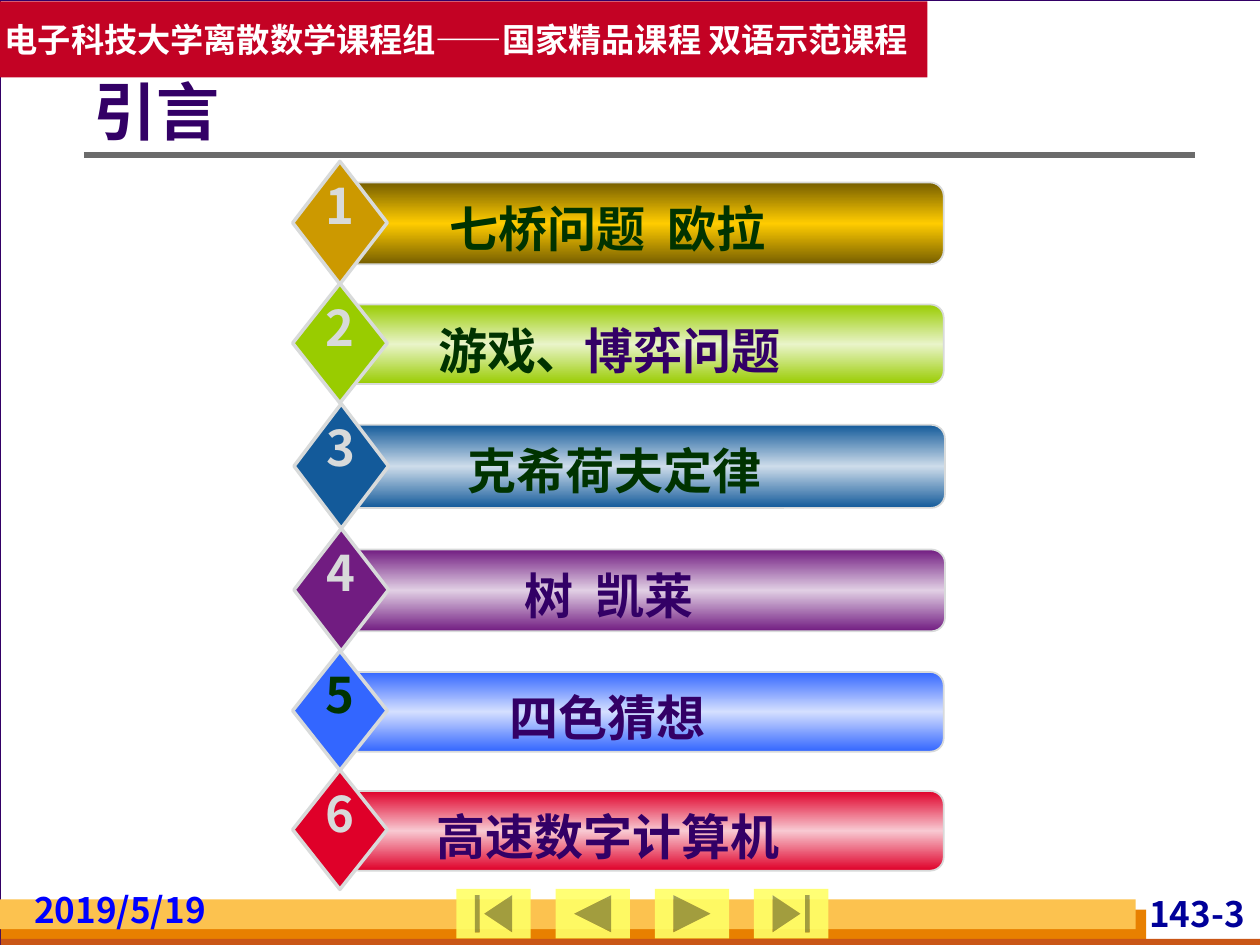
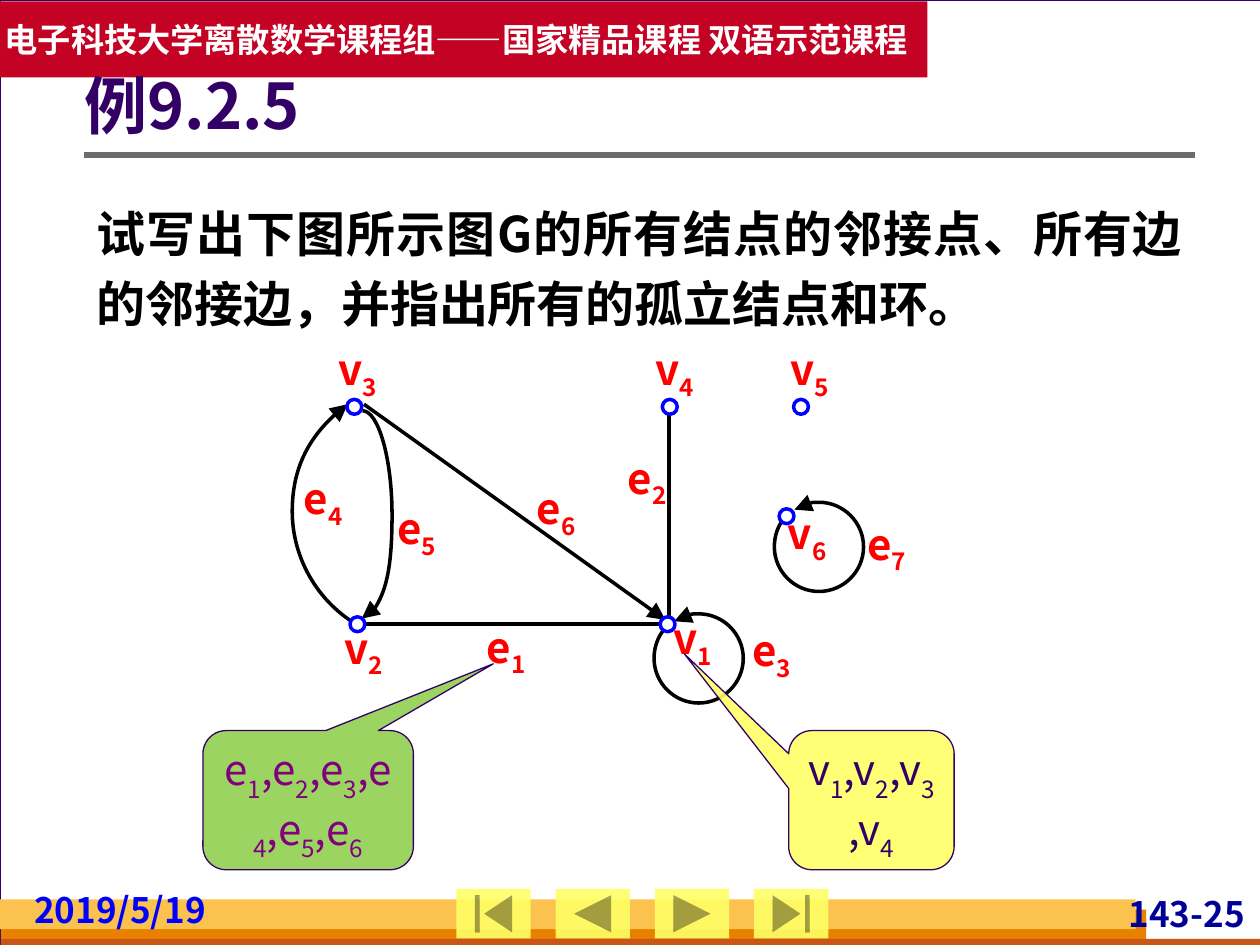
from dataclasses import dataclass
from itertools import groupby
from typing import NamedTuple

from lxml.etree import SubElement
from pptx import Presentation
from pptx.dml.color import RGBColor
from pptx.enum.shapes import MSO_CONNECTOR, MSO_SHAPE
from pptx.enum.text import MSO_ANCHOR, MSO_AUTO_SIZE, PP_ALIGN
from pptx.oxml.ns import qn
from pptx.util import Pt

COLORS = {
    "backdrop": "D8DADA", "white": "FFFFFF", "purple": "330066", "black": "000000",
    "orange": "E88000", "rust": "C95616", "amber": "FCC24F", "rule": "6B6B6B",
    "button": "FFFF66", "band": "C30224", "number": "000099", "blue": "0000FF",
    "green": "003300", "red": "FF0000", "lime": "92D050", "violet": "800080",
}
FONT = "Noto Sans CJK SC"
CENTER = PP_ALIGN.CENTER


class Piece(NamedTuple):
    text: str
    color: str
    size: float = 28
    bold: bool = True
    font: str = FONT
    baseline: int = 0
    spacing: float = 0


class Frame(NamedTuple):
    left: float
    top: float
    width: float
    height: float

    def points(self) -> list:
        return [Pt(length) for length in self]


@dataclass
class Topic:
    top: float
    height: float
    edge: str
    middle: str
    diamond: str
    pieces: list[Piece]
    shift: float = 0
    digit_color: str = "backdrop"
    label_width: float = 264


class Label(NamedTuple):
    text: str
    left: float
    top: float


class Line(NamedTuple):
    x1: float
    y1: float
    x2: float
    y2: float
    arrow: bool = False


class Curve(NamedTuple):
    left: float
    top: float
    points: list[tuple[float, float]]


class Callout(NamedTuple):
    frame: Frame
    tip: tuple[float, float]
    fill: str
    text: str
    color: str


def spaced(first: str, second: str, color: str) -> list[Piece]:
    """Two words with a widened gap between them."""
    return [Piece(first, color), Piece(" ", color, spacing=6.3), Piece(second, color)]


TOPICS = [
    Topic(104.25, 46.75, "765E00", "FFCC00", "CC9900", spaced("七桥问题", "欧拉", "green")),
    Topic(174, 45.5, "99CC00", "E9F4C9", "99CC00",
          [Piece("游戏、", "green"), Piece("博弈问题", "purple", font="Arial")], label_width=266),
    Topic(242.75, 47.5, "135A9A", "CDDCEA", "135A9A", [Piece("克希荷夫定律", "green")], 0.75,
          label_width=270),
    Topic(314, 46.75, "711C81", "E1CFE4", "711C81", spaced("树", "凯莱", "purple"), 0.75),
    Topic(384, 45.5, "3366FF", "D4DFFF", "3366FF", [Piece("四色猜想", "purple")],
          digit_color="green"),
    Topic(452, 45.5, "DF0029", "F8C9D2", "DF0029", [Piece("高速数字计算机", "purple")]),
]
EDGES = [
    Line(207.25, 356.5, 377.25, 356.5),
    Line(382.25, 233.5, 382.25, 352.75),
    Line(380.25, 354.25, 208, 231, arrow=True),
]
# Each curve is a start point followed by groups of three Bezier points
LOOP = [(11.5, 4.25), (15.75, 1.5), (20.75, 0), (25.5, 0), (39.5, 0), (51, 11.5), (51, 25.5),
        (51, 39.5), (39.5, 51), (25.5, 51), (11.5, 51), (0, 39.5), (0, 25.5),
        (0, 19.25), (2, 13.5), (5.5, 9.25)]
CURVES = [
    Curve(167, 231, [(31.75, 0), (12.25, 13.75), (0, 36.75), (0, 61.25),
                     (0, 86.5), (13, 110.25), (33.75, 124)]),
    Curve(206.75, 234.75, [(0, 118.75), (9.25, 118.75), (17.25, 92.75), (17.25, 59.75),
                           (17.25, 26.5), (9.25, 0), (0.5, 0)]),
    Curve(373.75, 350.75, LOOP),
    Curve(442.5, 287, LOOP),
]
NODES = [(381.5, 356.75), (204.25, 356.75), (202.5, 232.5), (382.75, 232.5),
         (457.75, 232.5), (449.5, 295)]
LABELS = [
    Label("v1", 378.75, 350), Label("v2", 191, 355.5), Label("v3", 187.5, 196.5),
    Label("v4", 368.5, 196.5), Label("v5", 445.5, 196.5), Label("v6", 444.25, 290),
    Label("e1", 272.25, 355), Label("e2", 352.75, 258.5), Label("e3", 424, 357),
    Label("e4", 167.75, 270), Label("e5", 221, 287.25), Label("e6", 300.75, 275.75),
    Label("e7", 489.75, 296),
]
CALLOUTS = [
    Callout(Frame(450.75, 417.5, 94.5, 79.5), (-1.13, -1.05), "button", "v1,v2,v3,v4", "purple"),
    Callout(Frame(116, 417.5, 120.25, 79.5), (0.88, -0.98), "lime", "e1,e2,e3,e4,e5,e6", "violet"),
]


# Drawing helpers
def rgb(color: str) -> RGBColor:
    return RGBColor.from_string(COLORS.get(color, color))


def write(shape, pieces: list[Piece], align=PP_ALIGN.LEFT, anchor=MSO_ANCHOR.TOP,
          insets: tuple | None = None, wrap: bool = True):
    """Fill the first paragraph with formatted runs and return it."""
    frame = shape.text_frame
    frame.word_wrap = wrap
    frame.auto_size = MSO_AUTO_SIZE.NONE
    frame.vertical_anchor = anchor
    if insets:
        (frame.margin_left, frame.margin_top,
         frame.margin_right, frame.margin_bottom) = [Pt(inset) for inset in insets]
    para = frame.paragraphs[0]
    para.alignment = align
    para.space_before = Pt(0)
    for piece in pieces:
        span = para.add_run()
        span.text = piece.text
        span.font.size = Pt(piece.size)
        span.font.bold = piece.bold
        span.font.name = piece.font
        span.font.color.rgb = rgb(piece.color)
        properties = span._r.get_or_add_rPr()
        SubElement(properties, qn("a:ea"), typeface=piece.font)
        if piece.baseline:
            properties.set("baseline", str(piece.baseline * 1000))
        if piece.spacing:
            properties.set("spc", str(round(piece.spacing * 100)))
    return para


def add_text(page, frame: Frame, pieces: list[Piece], **layout) -> None:
    write(page.shapes.add_textbox(*frame.points()), pieces, **layout)


def add_box(page, kind, frame: Frame, fill: str, line: str | None = None,
            weight: float = 0.75, alpha: int = 100):
    box = page.shapes.add_shape(kind, *frame.points())
    box.shadow.inherit = False
    box.fill.solid()
    box.fill.fore_color.rgb = rgb(fill)
    if alpha < 100:
        color = box.element.find(".//" + qn("a:srgbClr"))
        SubElement(color, qn("a:alpha"), val=str(alpha * 1000))
    if line:
        box.line.color.rgb = rgb(line)
        box.line.width = Pt(weight)
    else:
        box.line.fill.background()
    return box


def style_line(shape, color: str, weight: float, arrow: bool) -> None:
    shape.line.color.rgb = rgb(color)
    shape.line.width = Pt(weight)
    if arrow:
        SubElement(shape.line._get_or_add_ln(), qn("a:headEnd"),
                   type="triangle", w="lg", len="lg")


def add_line(page, line: Line, color: str, weight: float) -> None:
    ends = [Pt(length) for length in line[:4]]
    connector = page.shapes.add_connector(MSO_CONNECTOR.STRAIGHT, *ends)
    style_line(connector, color, weight, line.arrow)
    SubElement(connector.element.spPr, qn("a:effectLst"))


def add_curve(page, curve: Curve) -> None:
    """Outline the control points, then turn each three segments into one Bezier."""
    points = [(Pt(curve.left + x), Pt(curve.top + y)) for x, y in curve.points]
    builder = page.shapes.build_freeform(*points[0])
    builder.add_line_segments(points[1:], close=False)
    shape = builder.convert_to_shape()
    outline = shape.element.find(".//" + qn("a:path"))
    segments = outline.findall(qn("a:lnTo"))
    for start in range(0, len(segments), 3):
        bezier = SubElement(outline, qn("a:cubicBezTo"))
        for segment in segments[start:start + 3]:
            bezier.append(segment[0])
            outline.remove(segment)
    shape.shadow.inherit = False
    shape.fill.background()
    style_line(shape, "black", 2, arrow=True)


def set_gradient(shape, edge: str, middle: str) -> None:
    shape.fill.gradient()
    shape.fill.gradient_angle = 90
    stops = shape.element.find(".//" + qn("a:gsLst"))
    stops.clear()
    for position, color in ((0, edge), (50, middle), (100, edge)):
        stop = SubElement(stops, qn("a:gs"), pos=str(position * 1000))
        SubElement(stop, qn("a:srgbClr"), val=color)


def subscripted(text: str, color: str, bold: bool, drop: int) -> list[Piece]:
    """Split text so that every digit becomes a subscript."""
    return [Piece("".join(part), color, 24, bold, baseline=drop if is_digit else 0)
            for is_digit, part in groupby(text, str.isdigit)]


# Shared slide parts
def build_master(deck, page) -> None:
    """Draw the common background on a page, then move it to the master."""
    deck.slide_master.background.fill.solid()
    deck.slide_master.background.fill.fore_color.rgb = rgb("backdrop")
    rectangle = MSO_SHAPE.RECTANGLE
    add_box(page, rectangle, Frame(0, 0, 720.75, 540), "white", "purple")
    add_box(page, rectangle, Frame(0.5, 519.75, 654.5, 20.25), "orange")
    add_box(page, rectangle, Frame(0.5, 536.5, 719.5, 3.5), "rust")
    add_box(page, rectangle, Frame(0, 514, 649, 17), "amber")
    add_line(page, Line(48, 88.5, 683, 88.5), "rule", 3)
    buttons = (MSO_SHAPE.ACTION_BUTTON_BEGINNING, MSO_SHAPE.ACTION_BUTTON_BACK_OR_PREVIOUS,
               MSO_SHAPE.ACTION_BUTTON_FORWARD_OR_NEXT, MSO_SHAPE.ACTION_BUTTON_END)
    for index, kind in enumerate(buttons):
        add_box(page, kind, Frame(260.75 + 56.7 * index, 508, 42.5, 28.25), "button", alpha=90)
    band = add_box(page, rectangle, Frame(0, 0.75, 530, 43.5), "band")
    write(band, [Piece("电子科技大学离散数学课程组——国家精品课程 双语示范课程", "white", 19)],
          anchor=MSO_ANCHOR.MIDDLE, insets=(2.75, 3.6, 3, 3.6), wrap=False)
    parts = [shape for shape in page.shapes if not shape.is_placeholder]
    for number, shape in enumerate(parts, start=100):
        shape.element.xpath(".//p:cNvPr")[0].set("id", str(number))
        deck.slide_master.shapes.element.append(shape.element)


def place(placeholder, frame: Frame) -> None:
    (placeholder.left, placeholder.top,
     placeholder.width, placeholder.height) = frame.points()


def add_heading(page, title: str, frame: Frame, number: str) -> None:
    place(page.shapes.title, frame)
    para = write(page.shapes.title, [Piece(title, "purple", 36)],
                 anchor=MSO_ANCHOR.MIDDLE, insets=(0, 3.6, 7.2, 3.6))
    para.line_spacing = 0.9
    add_text(page, Frame(16.5, 507.5, 119, 24), [Piece("2019/5/19", "blue", 20)],
             insets=(3, 0, 3, 0))
    add_text(page, Frame(626.5, 510, 88, 24), [Piece(number, "number", 20)],
             align=PP_ALIGN.RIGHT, insets=(3, 0, 3, 0))


# Slide contents
def add_topic(page, number: int, topic: Topic) -> None:
    left = 167.25 + topic.shift
    bar = add_box(page, MSO_SHAPE.ROUNDED_RECTANGLE,
                  Frame(left + 30, topic.top, 342, topic.height), topic.edge, "backdrop", 1)
    set_gradient(bar, topic.edge, topic.middle)
    add_box(page, MSO_SHAPE.DIAMOND, Frame(left, topic.top - 12, 54, topic.height * 1.5),
            topic.diamond, "backdrop", 2)
    add_text(page, Frame(left + 48, topic.top + 5.5, topic.label_width, 41), topic.pieces,
             align=CENTER)
    add_text(page, Frame(left + 12.5, topic.top - 7.75, 29, 41),
             [Piece(str(number), topic.digit_color)], align=CENTER, wrap=False)


def add_question(body) -> None:
    place(body, Frame(48, 105.75, 635, 88))
    properties = body.text_frame.paragraphs[0]._p.get_or_add_pPr()
    properties.set("marL", "0")
    properties.set("indent", "0")
    SubElement(properties, qn("a:buNone"))
    question = "试写出下图所示图G的所有结点的邻接点、所有边的邻接边，并指出所有的孤立结点和环。"
    para = write(body, [Piece(question, "black")], align=PP_ALIGN.JUSTIFY)
    para.line_spacing = 1.2


def add_graph(page) -> None:
    for edge in EDGES:
        add_line(page, edge, "black", 2)
    for curve in CURVES:
        add_curve(page, curve)
    for x, y in NODES:
        add_box(page, MSO_SHAPE.OVAL, Frame(x - 4.25, y - 4.25, 8.5, 8.5), "white", "blue", 2)
    for label in LABELS:
        add_text(page, Frame(label.left, label.top, 34, 29),
                 subscripted(label.text, "red", True, -25), align=CENTER, insets=(0, 0, 0, 0))


def add_callout(page, callout: Callout) -> None:
    box = add_box(page, MSO_SHAPE.ROUNDED_RECTANGULAR_CALLOUT, callout.frame,
                  callout.fill, "purple", alpha=90)
    box.adjustments[0], box.adjustments[1] = callout.tip
    write(box, subscripted(callout.text, callout.color, False, -30), align=CENTER)


def main() -> None:
    deck = Presentation()
    deck.slide_width, deck.slide_height = Pt(720), Pt(540)

    # Introduction: six numbered topics
    page = deck.slides.add_slide(deck.slide_layouts[5])
    build_master(deck, page)
    add_heading(page, "引言", Frame(53.25, 38.25, 625, 55.5), "143-3")
    for number, topic in enumerate(TOPICS, start=1):
        add_topic(page, number, topic)

    # Example: graph with adjacent nodes and edges
    page = deck.slides.add_slide(deck.slide_layouts[1])
    add_heading(page, "例9.2.5", Frame(48.25, 26, 635, 72.5), "143-25")
    add_question(page.placeholders[1])
    add_graph(page)
    for callout in CALLOUTS:
        add_callout(page, callout)

    deck.save("out.pptx")


if __name__ == "__main__":
    main()
